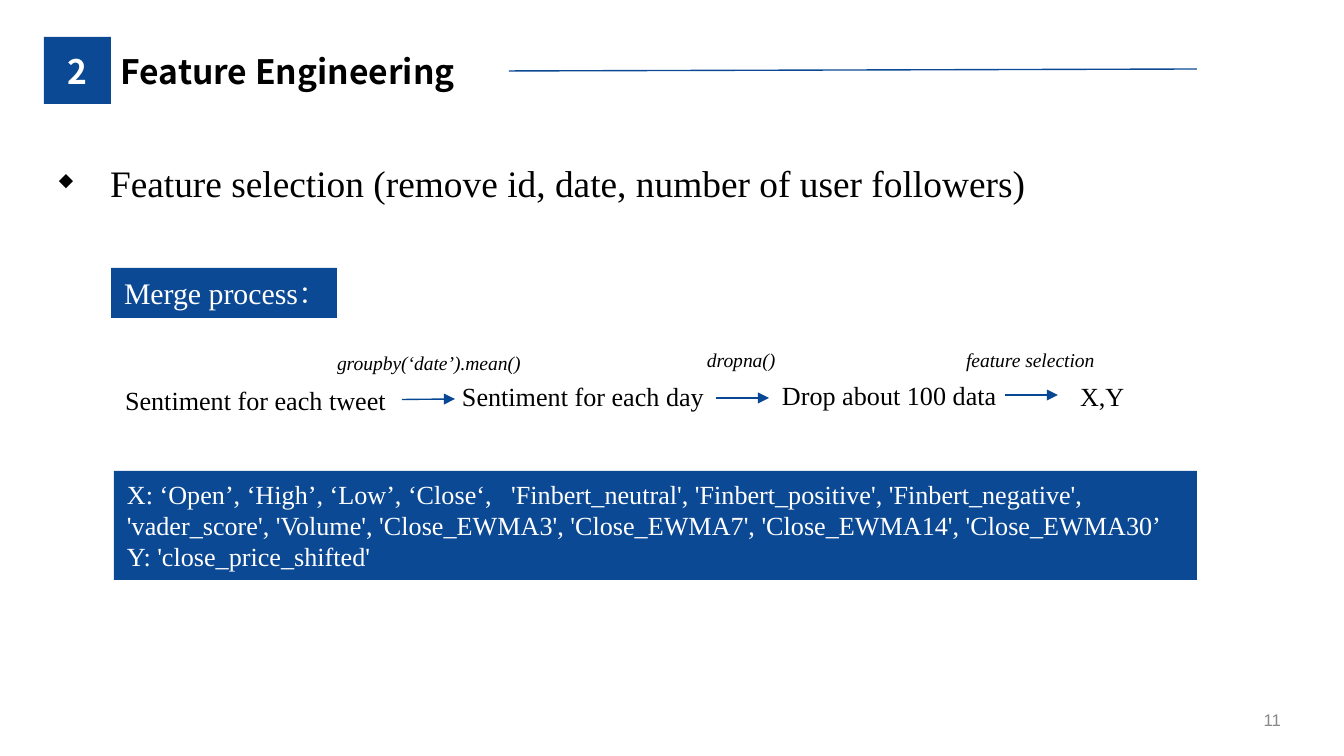
from lxml.etree import SubElement
from pptx import Presentation
from pptx.dml.color import RGBColor
from pptx.enum.shapes import MSO_CONNECTOR, MSO_SHAPE
from pptx.enum.text import MSO_ANCHOR, PP_ALIGN
from pptx.oxml.ns import qn
from pptx.util import Pt

EMU_PER_PX = 914400 / 134.4
BLUE, ARROW_BLUE, WHITE, BLACK, GREY = "0C4994", "084794", "FFFFFF", "000000", "888888"
SERIF, HEADING, SANS = "Times New Roman", "Noto Sans CJK SC", "Arial"
WIDE_INSET, SLIM_INSET = (13, 7, 13, 7), (9, 5, 9, 5)


def px(length):
    return round(length * EMU_PER_PX)


def color(value):
    return RGBColor.from_string(value)


class SlideBuilder:
    """Draws styled elements on the current slide."""

    def __init__(self, slide):
        self.slide = slide

    def style_text(self, shape, text, size, font=SERIF, fill=BLACK, bold=False, italic=False,
                   align=PP_ALIGN.LEFT, anchor=MSO_ANCHOR.TOP, inset=WIDE_INSET, wrap=True):
        frame = shape.text_frame
        frame.text = text
        frame.word_wrap = wrap
        frame.vertical_anchor = anchor
        frame.margin_left, frame.margin_top, frame.margin_right, frame.margin_bottom = map(px, inset)
        for paragraph in frame.paragraphs:
            paragraph.alignment = align
            for run in paragraph.runs:
                run.font.size, run.font.name = Pt(size), font
                run.font.bold, run.font.italic = bold, italic
                run.font.color.rgb = color(fill)
                properties = run._r.get_or_add_rPr()
                SubElement(properties, qn("a:ea")).set("typeface", font)

    def text(self, box, text, size, **style):
        shape = self.slide.shapes.add_textbox(*map(px, box))
        self.style_text(shape, text, size, **style)
        return shape

    def panel(self, box, text="", size=14, **style):
        shape = self.slide.shapes.add_shape(MSO_SHAPE.RECTANGLE, *map(px, box))
        shape.shadow.inherit = False
        shape.fill.solid()
        shape.fill.fore_color.rgb = color(BLUE)
        shape.line.fill.background()
        if text:
            self.style_text(shape, text, size, fill=WHITE, **style)
        return shape

    def bullet(self, box, text, size):
        shape = self.text(box, text, size)
        properties = shape.text_frame.paragraphs[0]._p.get_or_add_pPr()
        properties.set("marL", str(px(51)))
        properties.set("indent", str(px(-51)))
        bullet_color = SubElement(properties, qn("a:buClr"))
        SubElement(bullet_color, qn("a:srgbClr")).set("val", BLACK)
        SubElement(properties, qn("a:buSzPct")).set("val", "50000")
        SubElement(properties, qn("a:buChar")).set("char", "◆")

    def line(self, start, end, stroke=BLUE, arrow=False):
        connector = self.slide.shapes.add_connector(MSO_CONNECTOR.STRAIGHT, *map(px, start + end))
        connector.line.color.rgb = color(stroke)
        connector.line.width = Pt(0.75)
        if arrow:
            SubElement(connector.line._get_or_add_ln(), qn("a:tailEnd")).set("type", "triangle")
        SubElement(connector._element.spPr, qn("a:effectLst"))
        return connector


def main():
    presentation = Presentation()
    presentation.slide_width, presentation.slide_height = px(1344), px(756)
    slide = presentation.slides.add_slide(presentation.slide_layouts[6])
    builder = SlideBuilder(slide)

    builder.panel((44, 37, 67, 67))
    builder.line((509, 71), (1197, 69))
    builder.text((56, 46, 42, 51), "2", 18, font=HEADING, fill=WHITE, bold=True,
                 align=PP_ALIGN.CENTER, inset=SLIM_INSET)
    builder.text((112, 46, 398, 51), "Feature Engineering", 18, font=HEADING, bold=True,
                 inset=SLIM_INSET)
    builder.text((988, 700, 302, 40), "11", 9, font=SANS, fill=GREY, align=PP_ALIGN.RIGHT,
                 anchor=MSO_ANCHOR.MIDDLE, inset=SLIM_INSET)

    builder.panel(
        (114, 471, 1083, 109),
        "X: ‘Open’, ‘High’, ‘Low’, ‘Close‘,   'Finbert_neutral', 'Finbert_positive', "
        "'Finbert_negative', 'vader_score', 'Volume', 'Close_EWMA3', 'Close_EWMA7', "
        "'Close_EWMA14', 'Close_EWMA30’\nY: 'close_price_shifted'")
    builder.panel((111, 268, 226, 50), "Merge process：", 16, inset=(13, 7, 0, 7))
    builder.bullet((46, 153, 1254, 59),
                   "Feature selection (remove id, date, number of user followers)", 20)

    steps = [
        builder.text((left, top, width, 45), label, 14, wrap=False)
        for left, top, width, label in (
            (112, 377, 290, "Sentiment for each tweet"),
            (449, 373, 272, "Sentiment for each day"),
            (769, 372, 243, "Drop about 100 data"),
            (1067, 373, 72, "X,Y"),
        )
    ]
    for left, top, width, label in (
        (324, 344, 215, "groupby(‘date’).mean()"),
        (694, 341, 98, "dropna()"),
        (953, 341, 157, "feature selection"),
    ):
        builder.text((left, top, width, 38), label, 10.5, italic=True, wrap=False)

    arrows = [
        builder.line((left, y), (left + 53, y), ARROW_BLUE, arrow=True)
        for left, y in ((402, 399), (716, 398), (1005, 395))
    ]
    arrows[0].begin_connect(steps[0], 3)

    presentation.save("out.pptx")


if __name__ == "__main__":
    main()
